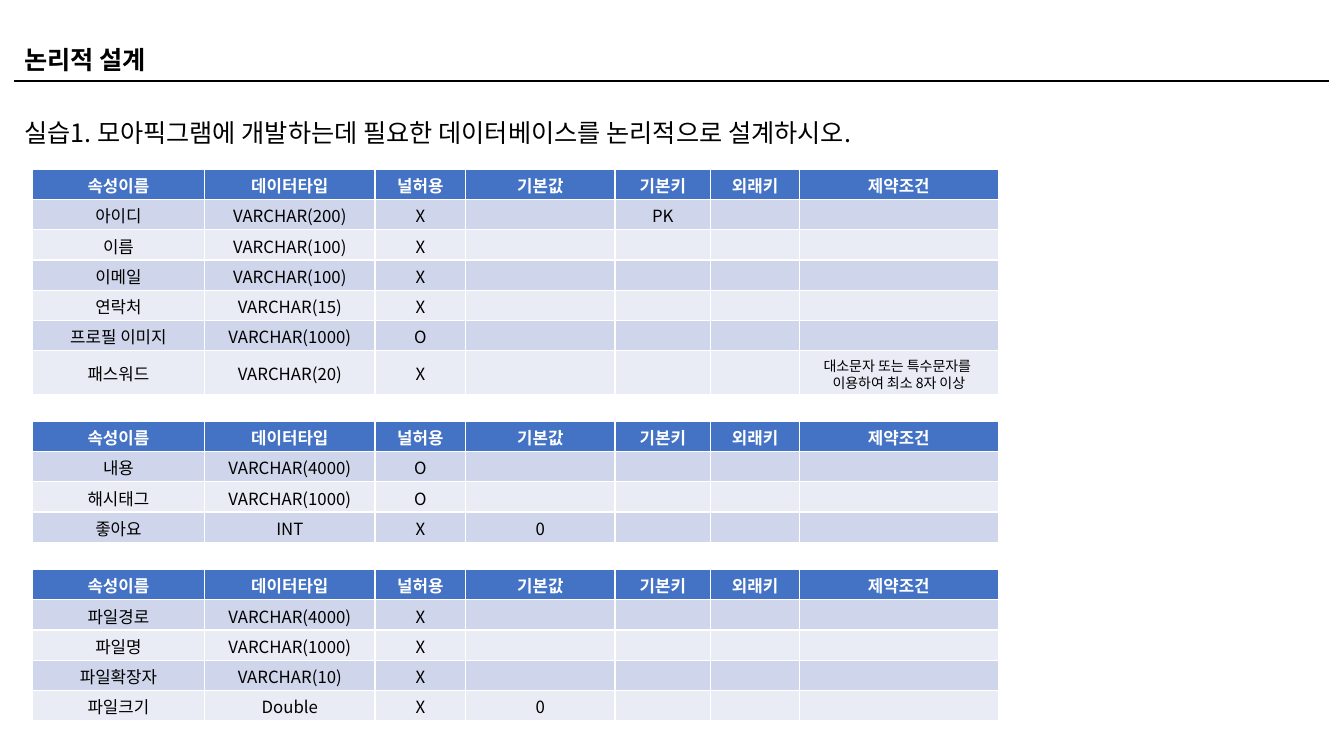
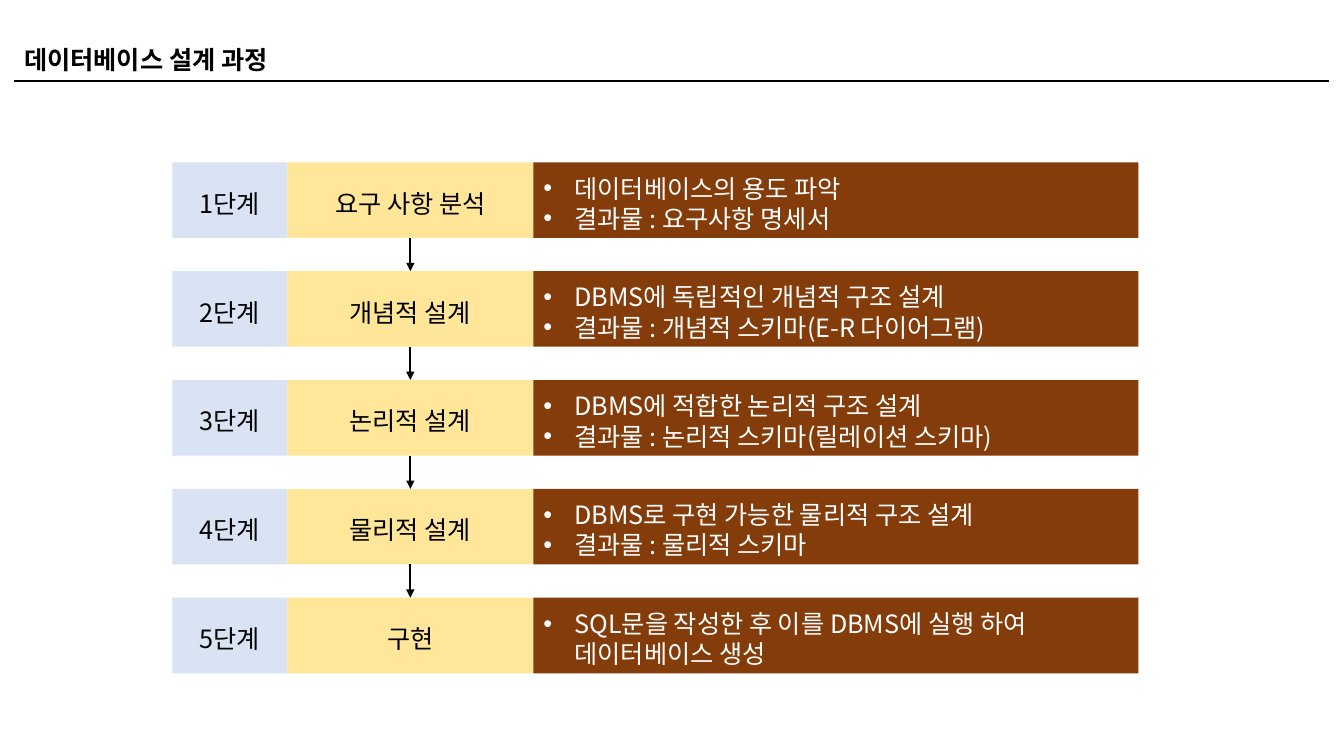
import pptx
import pptx.dml.color
import pptx.enum.shapes
import pptx.enum.text
import pptx.oxml.ns
import pptx.util
import lxml.etree

Inches = pptx.util.Inches
Pt = pptx.util.Pt
RGBColor = pptx.dml.color.RGBColor
ALIGN = pptx.enum.text.PP_ALIGN
ANCHOR = pptx.enum.text.MSO_ANCHOR
qn = pptx.oxml.ns.qn

# Shared look
FONT = "Noto Sans CJK KR"
BLACK = RGBColor(0x00, 0x00, 0x00)
WHITE = RGBColor(0xFF, 0xFF, 0xFF)
HEADER_BLUE = RGBColor(0x44, 0x72, 0xC4)
BAND_FILLS = (RGBColor(0xCF, 0xD5, 0xEA), RGBColor(0xE9, 0xEB, 0xF5))
STEP_BLUE = RGBColor(0xDA, 0xE3, 0xF3)
STAGE_YELLOW = RGBColor(0xFF, 0xE6, 0x99)
DETAIL_BROWN = RGBColor(0x84, 0x3C, 0x0B)
BODY_SIZE, CELL_SIZE, NOTE_SIZE = 18, 12, 10
LINE_HEIGHT = 1.2
MARGIN, CONTENT_WIDTH = 0.14, 13.04

# Attribute tables
COLUMN_WIDTHS = (1.71, 1.69, 0.9, 1.48, 0.95, 0.88, 1.97)
ROW_HEIGHT, NOTE_ROW_HEIGHT = 0.3, 0.43
HEADERS = ("속성이름", "데이터타입", "널허용", "기본값", "기본키", "외래키", "제약조건")
PASSWORD_RULE = "대소문자 또는 특수문자를 \n이용하여 최소 8자 이상"
MEMBER_ROWS = (
    ("아이디", "VARCHAR(200)", "X", "", "PK"),
    ("이름", "VARCHAR(100)", "X"),
    ("이메일", "VARCHAR(100)", "X"),
    ("연락처", "VARCHAR(15)", "X"),
    ("프로필 이미지", "VARCHAR(1000)", "O"),
    ("패스워드", "VARCHAR(20)", "X", "", "", "", PASSWORD_RULE),
)
POST_ROWS = (
    ("내용", "VARCHAR(4000)", "O"),
    ("해시태그", "VARCHAR(1000)", "O"),
    ("좋아요", "INT", "X", "0"),
)
FILE_ROWS = (
    ("파일경로", "VARCHAR(4000)", "X"),
    ("파일명", "VARCHAR(1000)", "X"),
    ("파일확장자", "VARCHAR(10)", "X"),
    ("파일크기", "Double", "X", "0"),
)

# Design process
STEPS = (
    ("요구 사항 분석", ("데이터베이스의 용도 파악", "결과물 : 요구사항 명세서")),
    ("개념적 설계", ("DBMS에 독립적인 개념적 구조 설계",
                "결과물 : 개념적 스키마(E-R 다이어그램)")),
    ("논리적 설계", ("DBMS에 적합한 논리적 구조 설계",
                "결과물 : 논리적 스키마(릴레이션 스키마)")),
    ("물리적 설계", ("DBMS로 구현 가능한 물리적 구조 설계", "결과물 : 물리적 스키마")),
    ("구현", ("SQL문을 작성한 후 이를 DBMS에 실행 하여 데이터베이스 생성",)),
)
STEP_WIDTH, STAGE_WIDTH, DETAIL_WIDTH = 1.14, 2.44, 6
STEP_HEIGHT, STEP_PITCH = 0.75, 1.08


def write_lines(frame, lines, size, color, bold=False, align=ALIGN.LEFT, bullets=False):
    """Write one paragraph per line in the shared font."""
    for index, line in enumerate(lines):
        para = frame.paragraphs[0] if index == 0 else frame.add_paragraph()
        para.alignment = align
        para.line_spacing = Pt(size * LINE_HEIGHT)
        para.space_before = Pt(0)
        if bullets:
            add_bullet(para)
        span = para.add_run()
        span.text = line
        span.font.size = Pt(size)
        span.font.bold = bold
        span.font.color.rgb = color
        span.font.name = FONT
        east_asian = lxml.etree.SubElement(span.font._element, qn("a:ea"))
        east_asian.set("typeface", FONT)


def add_bullet(para):
    properties = para._p.get_or_add_pPr()
    indent = Inches(0.31)
    properties.set("marL", str(indent))
    properties.set("indent", str(-indent))
    bullet_font = lxml.etree.SubElement(properties, qn("a:buFont"))
    bullet_font.set("typeface", "Arial")
    lxml.etree.SubElement(properties, qn("a:buChar")).set("char", "•")


def set_frame(frame, anchor):
    frame.word_wrap = True
    frame.auto_size = pptx.enum.text.MSO_AUTO_SIZE.NONE
    frame.vertical_anchor = anchor
    frame.margin_left = frame.margin_right = Inches(0.1)
    frame.margin_top, frame.margin_bottom = Inches(0.08), Inches(0.02)


def add_line(page, left, top, right, bottom):
    line = page.shapes.add_connector(
        pptx.enum.shapes.MSO_CONNECTOR.STRAIGHT,
        Inches(left), Inches(top), Inches(right), Inches(bottom))
    line.line.color.rgb = BLACK
    line.line.width = Pt(1.5)
    lxml.etree.SubElement(line._element.spPr, qn("a:effectLst"))
    return line


def add_titled_page(deck, title):
    """Add a page with the heading and the rule below it."""
    page = deck.slides.add_slide(deck.slide_layouts[5])
    box = page.shapes.title
    box.left, box.top = Inches(MARGIN), Inches(0.36)
    box.width, box.height = Inches(CONTENT_WIDTH), Inches(0.4)
    set_frame(box.text_frame, ANCHOR.TOP)
    write_lines(box.text_frame, [title], BODY_SIZE, BLACK, bold=True)
    add_line(page, MARGIN, 0.8, MARGIN + CONTENT_WIDTH, 0.8)
    return page


def fill_cell(cell, text, fill, color, bold):
    cell.fill.solid()
    cell.fill.fore_color.rgb = fill
    cell.vertical_anchor = ANCHOR.MIDDLE
    lines = text.split("\n")
    is_note = len(lines) > 1
    cell.margin_top = Inches(0.08)
    cell.margin_bottom = Inches(0.02)
    if text:
        size = NOTE_SIZE if is_note else CELL_SIZE
        write_lines(cell.text_frame, lines, size, color, bold, ALIGN.CENTER)
    else:
        # An empty cell must not stretch its row
        end = cell.text_frame.paragraphs[0]._p.get_or_add_endParaRPr()
        end.set("sz", str(NOTE_SIZE * 100))


def add_attribute_table(page, left, top, rows):
    heights = [ROW_HEIGHT] + [
        NOTE_ROW_HEIGHT if any("\n" in text for text in row) else ROW_HEIGHT
        for row in rows]
    table = page.shapes.add_table(
        len(heights), len(HEADERS), Inches(left), Inches(top),
        Inches(sum(COLUMN_WIDTHS)), Inches(sum(heights))).table
    for column, width in zip(table.columns, COLUMN_WIDTHS):
        column.width = Inches(width)
    for row, height in zip(table.rows, heights):
        row.height = Inches(height)
    for column, header in enumerate(HEADERS):
        fill_cell(table.cell(0, column), header, HEADER_BLUE, WHITE, True)
    for number, row in enumerate(rows, 1):
        fill = BAND_FILLS[(number - 1) % 2]
        for column in range(len(HEADERS)):
            text = row[column] if column < len(row) else ""
            fill_cell(table.cell(number, column), text, fill, BLACK, False)


def add_block(page, left, top, width, fill):
    box = page.shapes.add_shape(
        pptx.enum.shapes.MSO_SHAPE.RECTANGLE,
        Inches(left), Inches(top), Inches(width), Inches(STEP_HEIGHT))
    box.shadow.inherit = False
    box.fill.solid()
    box.fill.fore_color.rgb = fill
    box.line.fill.background()
    set_frame(box.text_frame, ANCHOR.MIDDLE)
    return box


def add_step(page, left, top, number, stage, details):
    """Add one row of the process and return its stage box."""
    step_box = add_block(page, left, top, STEP_WIDTH, STEP_BLUE)
    write_lines(step_box.text_frame, [f"{number}단계"], BODY_SIZE, BLACK, align=ALIGN.CENTER)
    stage_left = left + STEP_WIDTH
    stage_box = add_block(page, stage_left, top, STAGE_WIDTH, STAGE_YELLOW)
    write_lines(stage_box.text_frame, [stage], BODY_SIZE, BLACK, align=ALIGN.CENTER)
    detail_box = add_block(page, stage_left + STAGE_WIDTH, top, DETAIL_WIDTH, DETAIL_BROWN)
    write_lines(detail_box.text_frame, details, BODY_SIZE, WHITE, bullets=True)
    return stage_box


def join_stages(page, upper, lower):
    arrow = add_line(page, 0, 0, 0, 0)
    arrow.begin_connect(upper, 2)
    arrow.end_connect(lower, 0)
    lxml.etree.SubElement(arrow.line._get_or_add_ln(), qn("a:tailEnd")).set("type", "triangle")


def build_logical_design(deck):
    page = add_titled_page(deck, "논리적 설계")
    task = page.shapes.add_textbox(
        Inches(MARGIN), Inches(1.08), Inches(CONTENT_WIDTH), Inches(0.4))
    set_frame(task.text_frame, ANCHOR.TOP)
    write_lines(
        task.text_frame,
        ["실습1. 모아픽그램에 개발하는데 필요한 데이터베이스를 논리적으로 설계하시오."],
        BODY_SIZE, BLACK)
    for top, rows in ((1.68, MEMBER_ROWS), (4.18, POST_ROWS), (5.65, FILE_ROWS)):
        add_attribute_table(page, 0.32, top, rows)


def build_design_process(deck):
    page = add_titled_page(deck, "데이터베이스 설계 과정")
    previous = None
    for index, (stage, details) in enumerate(STEPS):
        current = add_step(page, 1.71, 1.61 + index * STEP_PITCH, index + 1, stage, details)
        if previous is not None:
            join_stages(page, previous, current)
        previous = current


def main():
    deck = pptx.Presentation()
    deck.slide_width, deck.slide_height = Inches(13.33), Inches(7.5)
    build_logical_design(deck)
    build_design_process(deck)
    deck.save("out.pptx")


if __name__ == "__main__":
    main()
